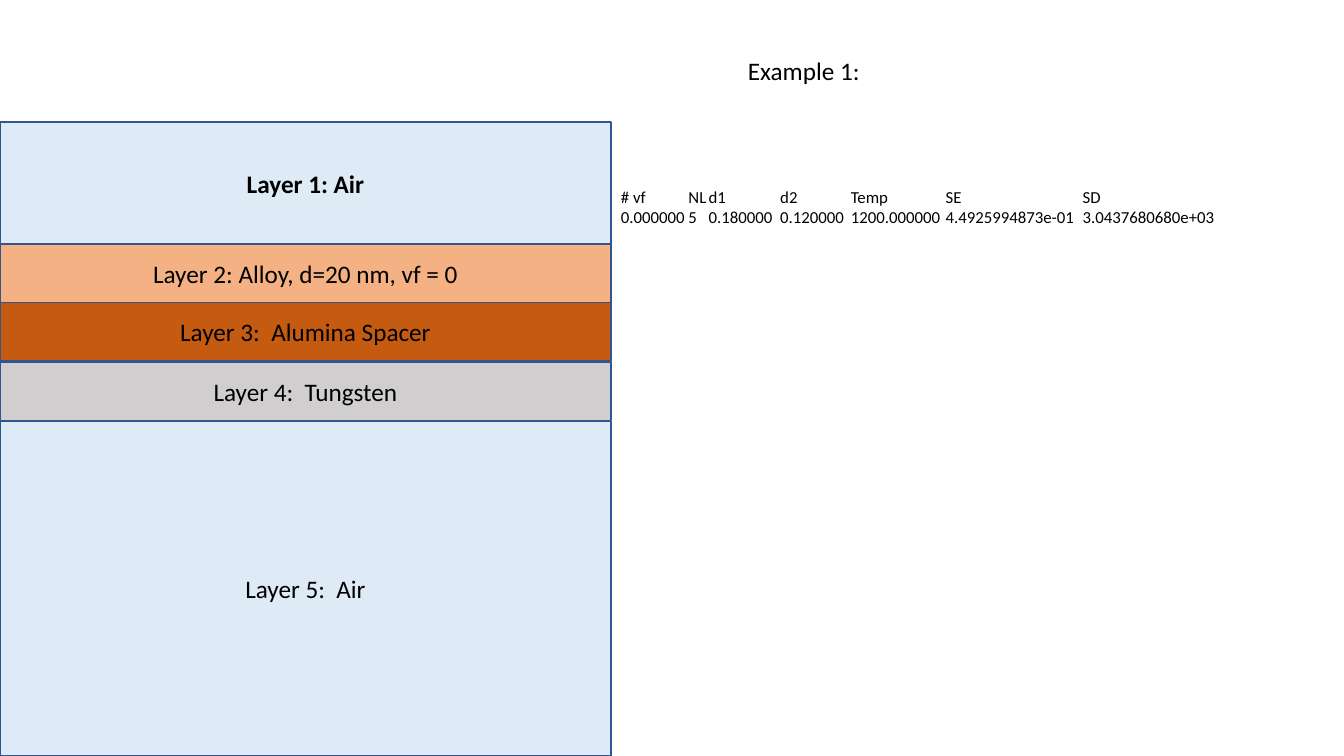
from lxml import etree
from pptx import Presentation
from pptx.dml.color import RGBColor
from pptx.enum import shapes, text
from pptx.oxml.ns import qn
from pptx.util import Inches, Pt

FONT = "Calibri"
STACK_WIDTH = 6.06

# Label, top, height, fill, bold
LAYERS = [
    ("Layer 2: Alloy, d=20 nm, vf = 0", 2.42, 0.58, "F4B183", False),
    ("Layer 3:  Alumina Spacer", 3, 0.58, "C55A11", False),
    ("Layer 4:  Tungsten", 3.59, 0.58, "D0CECE", False),
    ("Layer 1: Air", 1.21, 1.21, "DEEBF7", True),
    ("Layer 5:  Air", 4.18, 3.32, "DEEBF7", False),
]

# Output columns: header, value, tab position
COLUMNS = [
    ("# vf", "0.000000", 0),
    ("NL", "5", 0.67),
    ("d1", "0.180000", 0.87),
    ("d2", "0.120000", 1.58),
    ("Temp", "1200.000000", 2.28),
    ("SE", "4.4925994873e-01", 3.22),
    ("SD", "3.0437680680e+03", 4.58),
]


def color(value):
    return RGBColor.from_string(value)


def add_run(p, words, size, bold=False):
    r = p.add_run()
    r.text = words
    r.font.name = FONT
    r.font.size = Pt(size)
    r.font.bold = bold
    r.font.color.rgb = color("000000")


def add_layer(s, label, top, height, fill, bold):
    sp = s.shapes.add_shape(shapes.MSO_SHAPE.RECTANGLE, 0, Inches(top),
                            Inches(STACK_WIDTH), Inches(height))
    sp.shadow.inherit = False
    sp.fill.solid()
    sp.fill.fore_color.rgb = color(fill)
    sp.line.color.rgb = color("325491")
    sp.line.width = Pt(1)
    tf = sp.text_frame
    tf.vertical_anchor = text.MSO_ANCHOR.MIDDLE
    p = tf.paragraphs[0]
    p.alignment = text.PP_ALIGN.CENTER
    add_run(p, label, 18, bold)


def add_tab_stops(p, stops):
    tabs = etree.SubElement(p._p.get_or_add_pPr(), qn("a:tabLst"))
    for stop in stops:
        etree.SubElement(tabs, qn("a:tab"), pos=str(Inches(stop)), algn="l")


def add_text(s, left, top, width, height, lines, size, stops=()):
    tf = s.shapes.add_textbox(Inches(left), Inches(top),
                              Inches(width), Inches(height)).text_frame
    tf.word_wrap = True
    for i, line in enumerate(lines):
        p = tf.add_paragraph() if i else tf.paragraphs[0]
        if stops:
            add_tab_stops(p, stops)
        add_run(p, line, size)


def main():
    prs = Presentation()
    prs.slide_width, prs.slide_height = Inches(13.33), Inches(7.5)
    s = prs.slides.add_slide(prs.slide_layouts[6])

    # Layer stack
    for layer in LAYERS:
        add_layer(s, *layer)

    # Heading
    add_text(s, 7.32, 0.5, 5.17, 0.71, ["Example 1:"], 18)

    # Output listing, aligned by tab stops
    headers, values, stops = zip(*COLUMNS)
    add_text(s, STACK_WIDTH, 1.8, 6.98, 0.5,
             ["\t".join(headers), "\t".join(values)], 12, stops[1:])

    prs.save("out.pptx")


if __name__ == "__main__":
    main()
